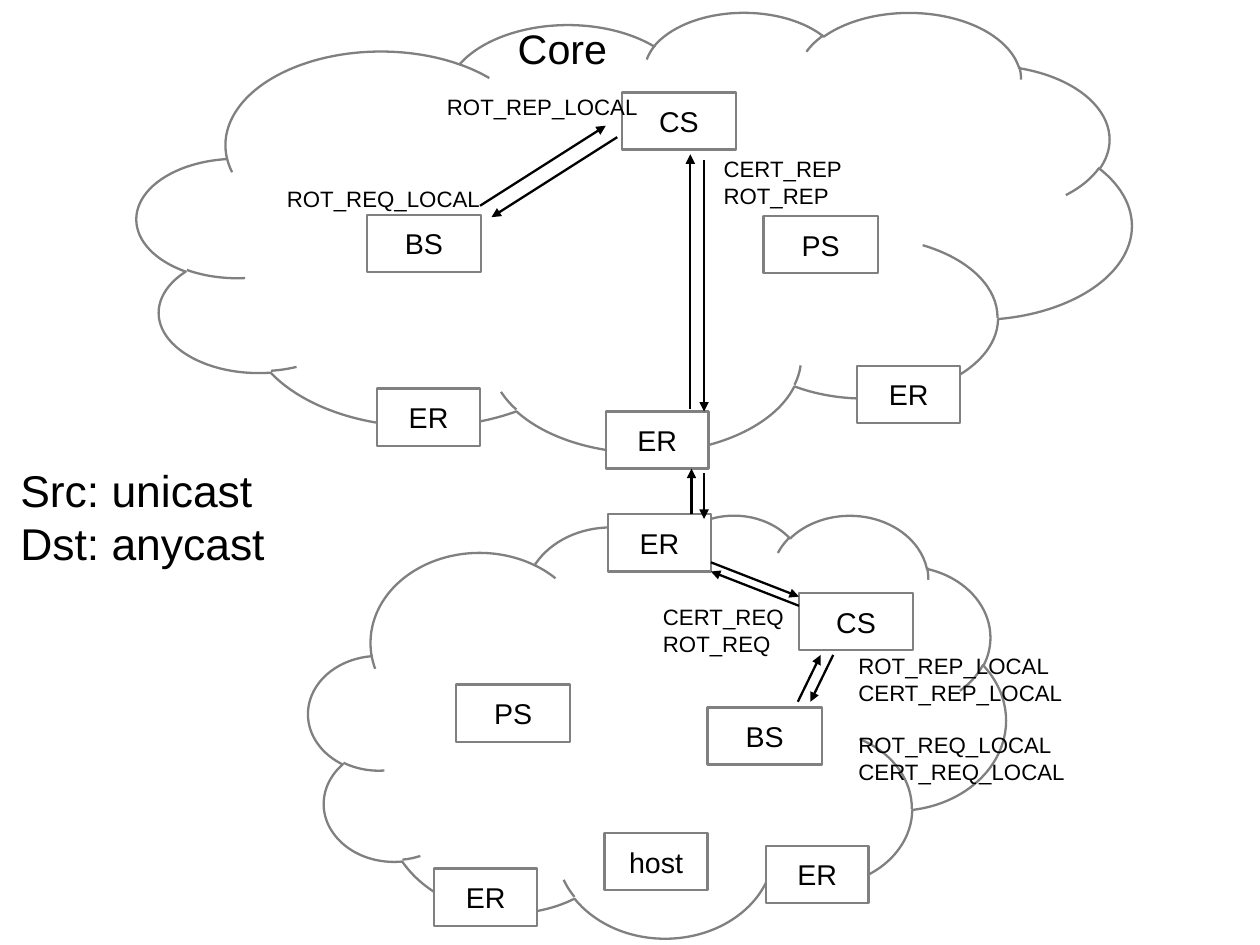
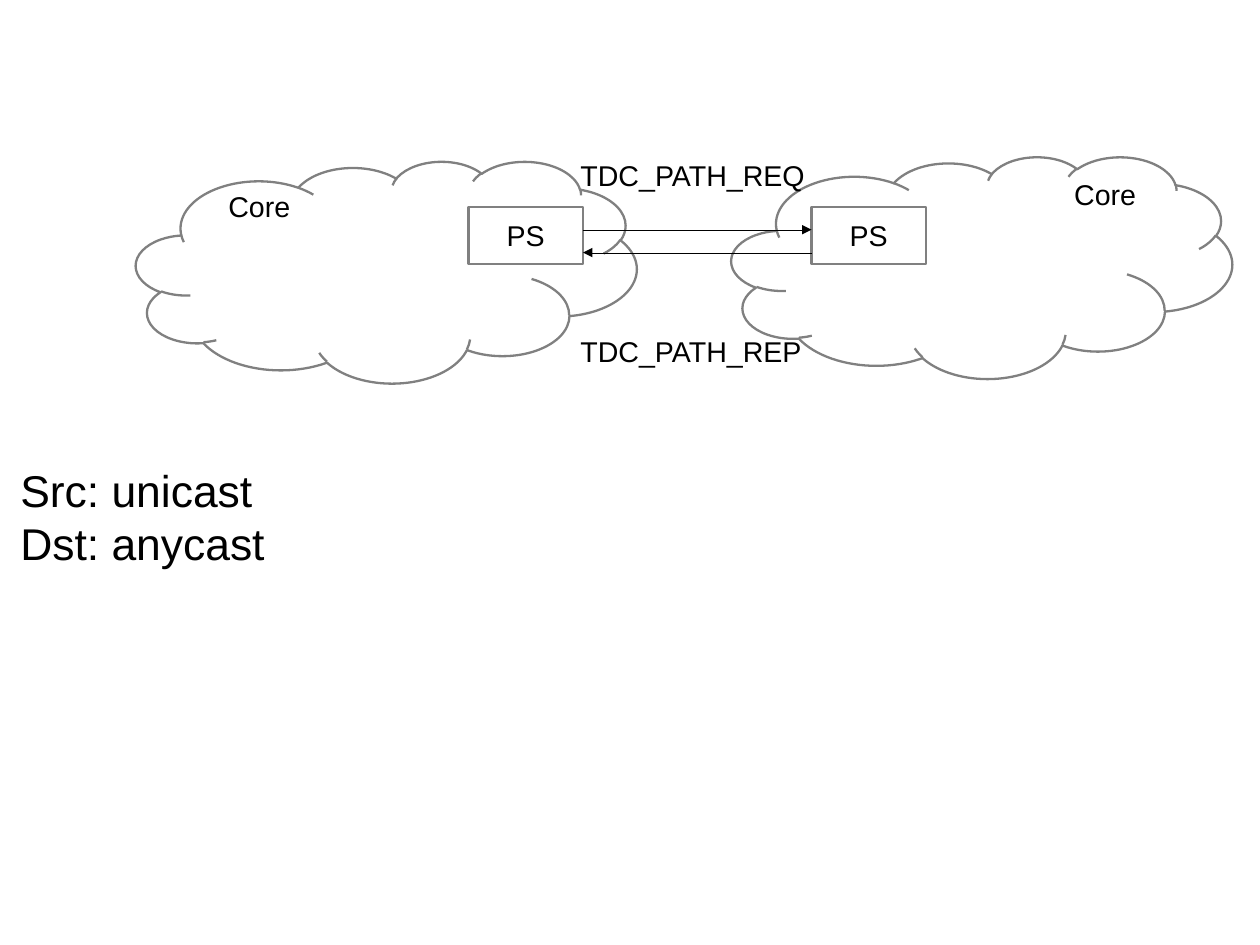
from lxml import etree
from pptx import Presentation
from pptx.dml.color import RGBColor
from pptx.enum.shapes import MSO_CONNECTOR, MSO_SHAPE
from pptx.enum.text import MSO_ANCHOR, MSO_AUTO_SIZE, PP_ALIGN
from pptx.oxml.ns import qn
from pptx.util import Cm, Pt

PX = 9144  # 100 px to the inch
PAGE_WIDTH, PAGE_HEIGHT = Cm(28), Cm(21)
WHITE = RGBColor(255, 255, 255)
GRAY = RGBColor(128, 128, 128)
BLACK = RGBColor(0, 0, 0)
FONT = "Arial"
LINE = 1.45
HAIRLINE = 0
CLOUD, RECT = MSO_SHAPE.CLOUD, MSO_SHAPE.RECTANGLE
STRAIGHT = MSO_CONNECTOR.STRAIGHT
MIDDLE, CENTER = MSO_ANCHOR.MIDDLE, PP_ALIGN.CENTER
GROW = MSO_AUTO_SIZE.SHAPE_TO_FIT_TEXT

NODE_HEIGHT = 50
NODE_WIDTHS = {"ER": 90, "host": 90, "CS": 100, "BS": 100, "PS": 100}
WIDE, TIGHT = (11, 6), (10, 5)  # horizontal and vertical insets

# Shared by both slides: groups of lines, size, place, insets
ADDRESSING = ([["Src: unicast", "Dst: anycast"]], 28, (8, 400, 236, 97), TIGHT)

# Clouds: left, top, width, height; nodes: name, left, top; arrows: from, to
SLIDES = [
    {
        "clouds": [(120, 10, 870, 385), (270, 450, 610, 370)],
        "nodes": [
            ("ER", 330, 340), ("ER", 530, 360), ("ER", 750, 320),
            ("ER", 532, 450), ("ER", 380, 760), ("ER", 670, 740),
            ("CS", 544, 81), ("BS", 321, 188), ("PS", 668, 189),
            ("BS", 619, 619), ("CS", 699, 519), ("PS", 399, 599),
            ("host", 529, 729),
        ],
        "arrow_width": LINE,
        "arrows": [
            (420, 180, 530, 110), (540, 120, 430, 190),
            (699, 530, 622, 500), (622, 492, 699, 522),
            (605, 450, 605, 410), (616, 414, 616, 454),
            (604, 358, 604, 135), (616, 140, 616, 360),
            (698, 614, 718, 573), (729, 573, 709, 614),
        ],
        "labels": [
            ([["Core"]], 26, (442, 14, 104, 52), WIDE),
            ([["ROT_REQ_LOCAL"]], 14, (240, 156, 193, 34), WIDE),
            ([["ROT_REP_LOCAL"]], 14, (380, 76, 191, 34), WIDE),
            ([["CERT_REQ", "ROT_REQ"]], 14, (569, 522, 130, 56), WIDE),
            ([["CERT_REP", "ROT_REP"]], 14, (622, 130, 128, 56), WIDE),
            ([["ROT_REP_LOCAL", "CERT_REP_LOCAL"],
              ["ROT_REQ_LOCAL", "CERT_REQ_LOCAL"]],
             14, (740, 565, 205, 121), WIDE),
            ADDRESSING,
        ],
    },
    {
        "clouds": [(119, 141, 438, 194), (640, 137, 438, 194)],
        "nodes": [("PS", 410, 181), ("PS", 710, 181)],
        "arrow_width": HAIRLINE,
        "arrows": [(510, 201, 710, 201), (710, 221, 510, 221)],
        "labels": [
            ADDRESSING,
            ([["TDC_PATH_REQ"]], 18, (498, 133, 218, 38), TIGHT),
            ([["TDC_PATH_REP"]], 18, (498, 287, 217, 38), TIGHT),
            ([["Core"]], 18, (190, 160, 76, 38), TIGHT),
            ([["Core"]], 18, (930, 150, 76, 38), TIGHT),
        ],
    },
]


def emu(lengths):
    return [length * PX for length in lengths]


def set_font(para, size):
    para.font.name = FONT
    para.font.size = Pt(size)
    para.font.color.rgb = BLACK


def set_frame(frame, insets):
    frame.word_wrap = False
    across, down = emu(insets)
    frame.margin_left = frame.margin_right = across
    frame.margin_top = frame.margin_bottom = down


def add_outline(page, kind, place):
    shape = page.shapes.add_shape(kind, *emu(place))
    shape.shadow.inherit = False
    shape.fill.solid()
    shape.fill.fore_color.rgb = WHITE
    shape.line.color.rgb = GRAY
    shape.line.width = Pt(LINE)
    return shape


def add_node(page, name, left, top):
    node = add_outline(page, RECT, (left, top, NODE_WIDTHS[name], NODE_HEIGHT))
    frame = node.text_frame
    set_frame(frame, WIDE)
    frame.vertical_anchor = MIDDLE
    para = frame.paragraphs[0]
    para.text = name
    para.alignment = CENTER
    set_font(para, 18)


def add_arrow(page, ends, width):
    arrow = page.shapes.add_connector(STRAIGHT, *emu(ends))
    arrow.line.color.rgb = BLACK
    line = arrow.line._get_or_add_ln()
    line.set("w", str(int(Pt(width))))  # a zero width must be stated
    etree.SubElement(line, qn("a:tailEnd"), type="triangle")
    etree.SubElement(arrow._element.spPr, qn("a:effectLst"))


def add_label(page, groups, size, place, insets):
    frame = page.shapes.add_textbox(*emu(place)).text_frame
    set_frame(frame, insets)
    frame.auto_size = GROW
    para = None
    for group in groups:
        for index, text in enumerate(group):
            first = para is None
            para = frame.paragraphs[0] if first else frame.add_paragraph()
            para.text = text
            set_font(para, size)
            if index == 0 and not first:
                para.space_before = Pt(size + 2)  # one line between groups


def main():
    deck = Presentation()
    deck.slide_width, deck.slide_height = PAGE_WIDTH, PAGE_HEIGHT
    for content in SLIDES:
        page = deck.slides.add_slide(deck.slide_layouts[6])
        for place in content["clouds"]:
            add_outline(page, CLOUD, place)
        for node in content["nodes"]:
            add_node(page, *node)
        for ends in content["arrows"]:
            add_arrow(page, ends, content["arrow_width"])
        for label in content["labels"]:
            add_label(page, *label)
    deck.save("out.pptx")


if __name__ == "__main__":
    main()
